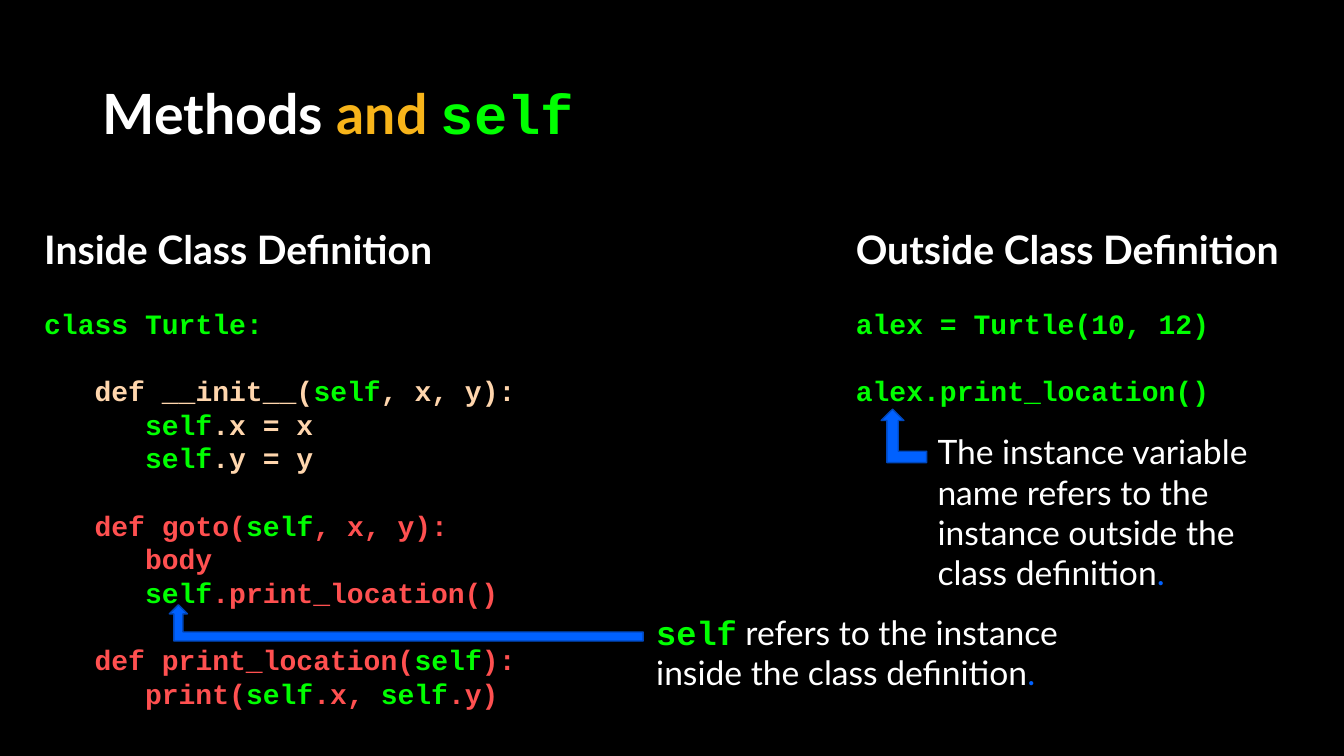
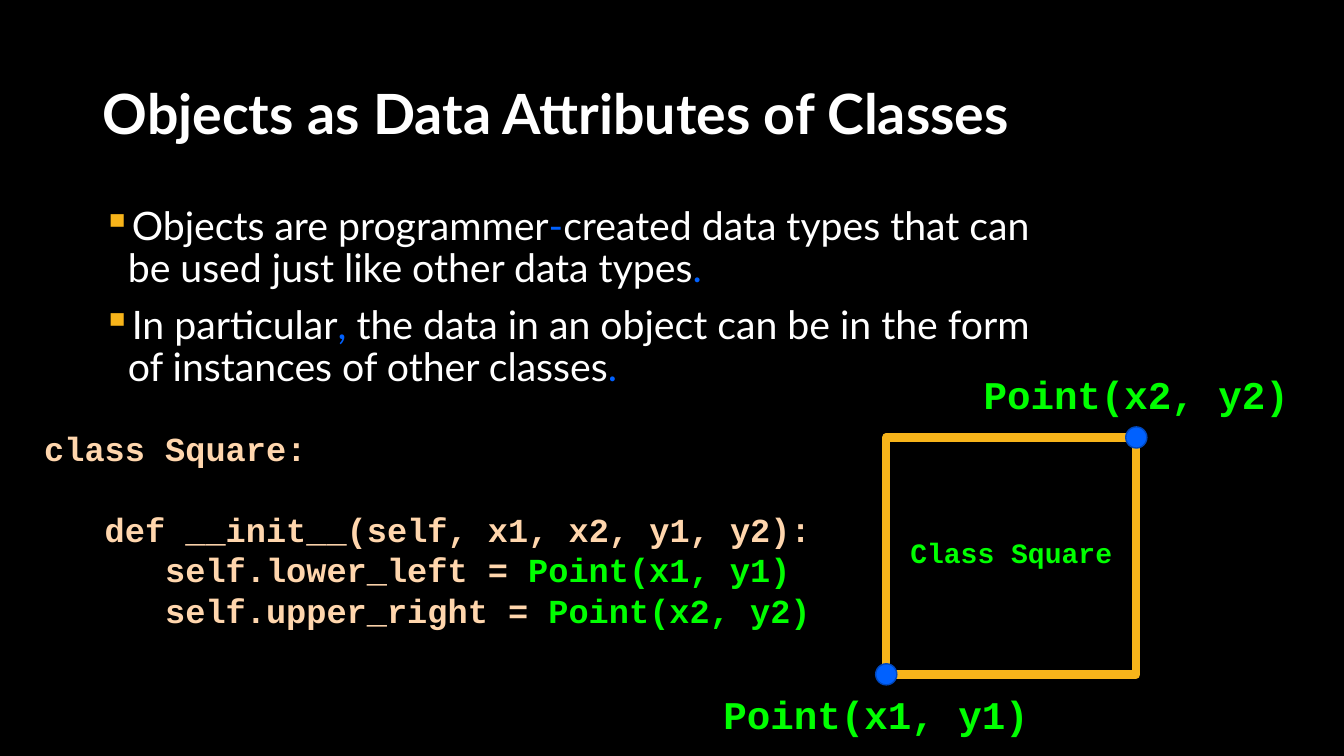
from lxml import etree
from pptx import Presentation
from pptx import util as u
from pptx.dml.color import RGBColor
from pptx.enum import shapes, text
from pptx.oxml.ns import qn

BLACK = RGBColor(0x00, 0x00, 0x00)
WHITE = RGBColor(0xFF, 0xFF, 0xFF)
GOLD = RGBColor(0xF7, 0xB4, 0x1A)
GREEN = RGBColor(0x00, 0xFF, 0x00)
PEACH = RGBColor(0xFF, 0xD6, 0xAD)
RED = RGBColor(0xFF, 0x50, 0x50)
BLUE = RGBColor(0x00, 0x61, 0xFF)
DARK_BLUE = RGBColor(0x00, 0x48, 0xBD)
SANS, MONO = "Lato", "Courier New"
SELF = ("self", GREEN)
LEFT_COLUMN, RIGHT_COLUMN = 0.34, 8.39


class Deck:
    def __init__(self):
        self.prs = Presentation()
        self.prs.slide_width = u.Inches(13.33)
        self.prs.slide_height = u.Inches(7.5)
        backdrop = self.prs.slide_master.background.fill
        backdrop.solid()
        backdrop.fore_color.rgb = BLACK
        self.slide = None

    def start_slide(self, *title):
        self.slide = self.prs.slides.add_slide(self.prs.slide_layouts[6])
        frame = self.frame(0.92, 0.8, 11.5, 0.72)
        frame.vertical_anchor = text.MSO_ANCHOR.MIDDLE
        self.fill_line(frame.paragraphs[0], title, 39.6, bold=True).line_spacing = 0.9

    def frame(self, left, top, width, height, wrap=True):
        box = self.slide.shapes.add_textbox(*map(u.Inches, (left, top, width, height)))
        box.text_frame.word_wrap = wrap
        return box.text_frame

    def fill_line(self, line, parts, size, font=SANS, bold=False):
        line.font.size = u.Pt(size)
        line.font.bold = bold
        mixed = any(len(part) > 2 for part in parts)
        if not mixed:
            line.font.name = font
        for wording, color, *own_font in parts:
            run = line.add_run()
            run.text = wording
            run.font.color.rgb = color
            if mixed:
                run.font.name = own_font[0] if own_font else font
                run.font.bold = bold or bool(own_font)
        return line

    def lines(self, frame, count):
        for _ in range(count - 1):
            frame.add_paragraph()
        return frame.paragraphs

    def heading(self, left, top, width, wording):
        frame = self.frame(left, top, width, 0.57, wrap=False)
        self.fill_line(frame.paragraphs[0], [(wording, WHITE)], 28, bold=True)

    def label(self, left, top, width, height, wording, size):
        frame = self.frame(left, top, width, height, wrap=False)
        line = self.fill_line(frame.paragraphs[0], [(wording, GREEN)], size, MONO, True)
        line.alignment = text.PP_ALIGN.CENTER

    def note(self, left, top, width, height, *parts):
        frame = self.frame(left, top, width, height)
        self.fill_line(frame.paragraphs[0], parts, 24)

    def code(self, left, top, width, height, size, listing):
        pitch = u.Pt(size * 1.2)
        frame = self.frame(left, top, width, height)
        for line, (level, gap, *parts) in zip(self.lines(frame, len(listing)), listing):
            self.fill_line(line, parts, size, MONO, True)
            line.line_spacing = pitch
            line.space_before = pitch * gap
            line._p.get_or_add_pPr().set("marL", str(u.Pt(size * 1.8 * level)))

    def bullets(self, left, top, width, height, items):
        frame = self.frame(left, top, width, height)
        for line, parts in zip(self.lines(frame, len(items)), items):
            self.fill_line(line, parts, 28)
            line.line_spacing = 0.9
            line.space_before = u.Pt(10)
            props = line._p.get_or_add_pPr()
            props.set("marL", str(u.Inches(0.25)))
            props.set("indent", str(u.Inches(-0.25)))
            tint = etree.Element(qn("a:buClr"))
            etree.SubElement(tint, qn("a:srgbClr")).set("val", str(GOLD))
            mark = etree.Element(qn("a:buChar"))
            mark.set("char", "▪")
            defaults = props.find(qn("a:defRPr"))
            defaults.addprevious(tint)
            defaults.addprevious(mark)

    def shape(self, kind, left, top, width, height, fill=BLUE, line=DARK_BLUE, weight=1):
        shape = self.slide.shapes.add_shape(kind, *map(u.Inches, (left, top, width, height)))
        shape.shadow.inherit = False
        if fill is None:
            shape.fill.background()
        else:
            shape.fill.solid()
            shape.fill.fore_color.rgb = fill
        shape.line.color.rgb = line
        shape.line.width = u.Pt(weight)
        return shape

    def pointer(self, left, top, width, height):
        arrow = self.shape(shapes.MSO_SHAPE.BENT_UP_ARROW, left, top, width, height)
        arrow._element.spPr.get_or_add_xfrm().set("flipH", "1")

    def corner(self, x, y, size=0.21):
        self.shape(shapes.MSO_SHAPE.OVAL, x - size / 2, y - size / 2, size, size)


def methods_slide(deck):
    deck.start_slide(("Methods ", WHITE), ("and ", GOLD), (*SELF, MONO))
    deck.code(LEFT_COLUMN, 2.99, 7.06, 4.14, 20, [
        (0, 0, ("class Turtle:", GREEN)),
        (1, 1, ("def __init__(", PEACH), SELF, (", x, y):", PEACH)),
        (2, 0, SELF, (".x = x", PEACH)),
        (2, 0, SELF, (".y = y", PEACH)),
        (1, 1, ("def goto(", RED), SELF, (", x, y):", RED)),
        (2, 0, ("body", RED)),
        (2, 0, SELF, (".print_location()", RED)),
        (1, 1, ("def print_location(", RED), SELF, ("):", RED)),
        (2, 0, ("print(", RED), SELF, (".x, ", RED), SELF, (".y)", RED)),
    ])
    deck.code(RIGHT_COLUMN, 2.99, 4.05, 1.11, 20, [
        (0, 0, ("alex = Turtle(10, 12)", GREEN)),
        (0, 1, ("alex.print_location()", GREEN)),
    ])
    deck.heading(LEFT_COLUMN, 2.19, 4.3, "Inside Class Definition")
    deck.heading(RIGHT_COLUMN, 2.19, 4.62, "Outside Class Definition")
    deck.note(6.41, 6.02, 4.22, 0.91, (*SELF, MONO),
              (" refers to the instance inside the class definition", WHITE), (".", BLUE))
    deck.note(9.2, 4.23, 3.58, 1.72,
              ("The instance variable name refers to the instance outside the class definition",
               WHITE), (".", BLUE))
    deck.pointer(1.68, 6, 4.7, 0.36)
    deck.pointer(8.74, 4.06, 0.45, 0.53)


def objects_slide(deck):
    deck.start_slide(("Objects as Data Attributes of Classes", WHITE))
    deck.bullets(0.92, 2, 9.77, 5.29, [
        [("Objects are programmer", WHITE), ("-", BLUE),
         ("created data types that can be used just like other data types", WHITE),
         (".", BLUE)],
        [("In particular", WHITE), (",", BLUE),
         (" the data in an object can be in the form of instances of other classes", WHITE),
         (".", BLUE)],
    ])
    left, top, width, height = 8.79, 4.34, 2.48, 2.35
    deck.shape(shapes.MSO_SHAPE.RECTANGLE, left, top, width, height, None, GOLD, 6)
    deck.corner(left, top + height)
    deck.corner(left + width, top)
    deck.label(8.92, 5.26, 2.22, 0.44, "Class Square", 20)
    deck.code(LEFT_COLUMN, 4.2, 8.27, 2.52, 24, [
        (0, 0, ("class Square:", PEACH)),
        (1, 1, ("def __init__(self, x1, x2, y1, y2):", PEACH)),
        (2, 0, ("self.lower_left = ", PEACH), ("Point(x1, y1)", GREEN)),
        (2, 0, ("self.upper_right = ", PEACH), ("Point(x2, y2)", GREEN)),
    ])
    deck.label(7.06, 6.8, 3.26, 0.57, "Point(x1, y1)", 28)
    deck.label(9.64, 3.62, 3.26, 0.57, "Point(x2, y2)", 28)


def main():
    deck = Deck()
    methods_slide(deck)
    objects_slide(deck)
    deck.prs.save("out.pptx")


if __name__ == "__main__":
    main()
